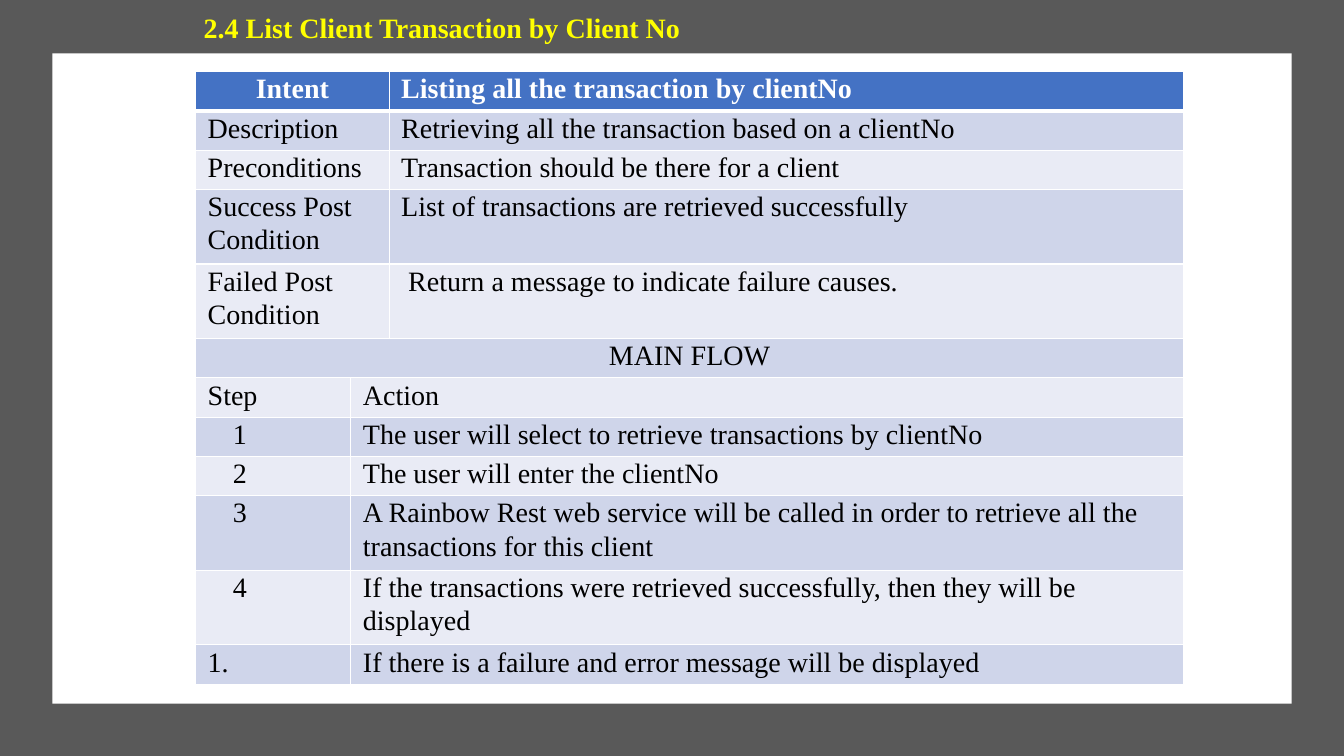
from lxml.etree import SubElement
from pptx import Presentation
from pptx.dml.color import RGBColor
from pptx.enum.shapes import MSO_SHAPE
from pptx.enum.text import MSO_ANCHOR, PP_ALIGN
from pptx.oxml.ns import qn
from pptx.util import Inches, Pt

COLORS = {
    "frame": "595959",
    "white": "FFFFFF",
    "title": "FFFF00",
    "text": "000000",
    "header": "4472C4",
    "band_dark": "CFD5EA",
    "band_light": "E9EBF5",
}


def write_text(text_frame, text, color="text", bold=False, align=PP_ALIGN.LEFT,
               indent=0, spacing=1.07, after=8):
    paragraph = text_frame.paragraphs[0]
    paragraph.alignment = align
    paragraph.line_spacing = spacing
    paragraph.space_after = Pt(after)
    properties = paragraph._p.get_or_add_pPr()
    properties.set("marL", str(Inches(indent)))
    properties.set("indent", "0")
    run = paragraph.add_run()
    run.text = text
    run.font.name = "Times New Roman"
    run.font.size = Pt(20)
    run.font.bold = bold
    run.font.color.rgb = RGBColor.from_string(COLORS[color])


def add_borders(cell, widths):
    properties = cell._tc.get_or_add_tcPr()
    for side, width in widths.items():
        line = SubElement(properties, qn(f"a:ln{side}"), w=str(Pt(width)))
        fill = SubElement(line, qn("a:solidFill"))
        SubElement(fill, qn("a:srgbClr"), val=COLORS["white"])


presentation = Presentation()
presentation.slide_width = Inches(13.33)
presentation.slide_height = Inches(7.5)
slide = presentation.slides.add_slide(presentation.slide_layouts[6])

# Dark frame and white panel
for color, bounds in [("frame", (0, 0, 13.33, 7.5)),
                      ("white", (0.52, 0.53, 12.29, 6.45))]:
    shape = slide.shapes.add_shape(MSO_SHAPE.RECTANGLE, *map(Inches, bounds))
    shape.shadow.inherit = False
    shape.fill.solid()
    shape.fill.fore_color.rgb = RGBColor.from_string(COLORS[color])
    shape.line.fill.background()

# Use case table: first column, last column, text of each row
ROWS = [
    ("Intent", "Listing all the transaction by clientNo"),
    ("Description", "Retrieving all the transaction based on a clientNo"),
    ("Preconditions", "Transaction should be there for a client"),
    ("Success Post Condition", "List of transactions are retrieved successfully"),
    ("Failed Post Condition", " Return a message to indicate failure causes."),
    ("MAIN FLOW",),
    ("Step", "Action"),
    ("1", "The user will select to retrieve transactions by clientNo"),
    ("2", "The user will enter the clientNo"),
    ("3", "A Rainbow Rest web service will be called in order to retrieve "
          "all the transactions for this client"),
    ("4", "If the transactions were retrieved successfully, then they will "
          "be displayed"),
    ("1.", "If there is a failure and error message will be displayed"),
]
FLOW_ROW = 5
TALL_ROWS = {3, 4, 9, 10}

table = slide.shapes.add_table(len(ROWS), 3, Inches(1.94), Inches(0.71),
                               Inches(9.8), Inches(6.08)).table
for column, width in zip(table.columns, (1.54, 0.38, 7.88)):
    column.width = Inches(width)

for index, texts in enumerate(ROWS):
    table.rows[index].height = Inches(0.74 if index in TALL_ROWS else 0.39)
    band = "header" if index == 0 else ("band_light", "band_dark")[index % 2]
    widths = {"L": 1, "R": 1, "T": 3 if index == 1 else 1,
              "B": 3 if index == 0 else 1}
    for cell in table.rows[index].cells:
        add_borders(cell, widths)
        cell.fill.solid()
        cell.fill.fore_color.rgb = RGBColor.from_string(COLORS[band])
        cell.margin_left = cell.margin_right = Inches(0.12)
        cell.margin_top = cell.margin_bottom = 0

    # The description rows join columns 0-1, the step rows join columns 1-2
    if index == FLOW_ROW:
        spans, starts = [(0, 2)], [0]
    elif index < FLOW_ROW:
        spans, starts = [(0, 1)], [0, 2]
    else:
        spans, starts = [(1, 2)], [0, 1]
    for first, last in spans:
        table.cell(index, first).merge(table.cell(index, last))

    for start, text in zip(starts, texts):
        centered = start == 0 and index in (0, FLOW_ROW)
        step_number = text.isdigit()
        write_text(table.cell(index, start).text_frame, text,
                   color="white" if index == 0 else "text", bold=index == 0,
                   align=PP_ALIGN.CENTER if centered else PP_ALIGN.LEFT,
                   indent=0.25 if step_number else 0,
                   after=0 if step_number else 8)

# Title
title = slide.shapes.add_textbox(Inches(1.02), 0, Inches(6.08), Inches(0.88))
title_frame = title.text_frame
title_frame.word_wrap = True
title_frame.vertical_anchor = MSO_ANCHOR.TOP
title_frame.margin_left = Inches(0.5)
title_frame.margin_right = 0
title_frame.margin_top = Inches(0.1)
title_frame.margin_bottom = Inches(0.04)
write_text(title_frame, "2.4 List Client Transaction by Client No", color="title",
           bold=True, indent=0.5, spacing=1.0, after=6)

presentation.save("out.pptx")
